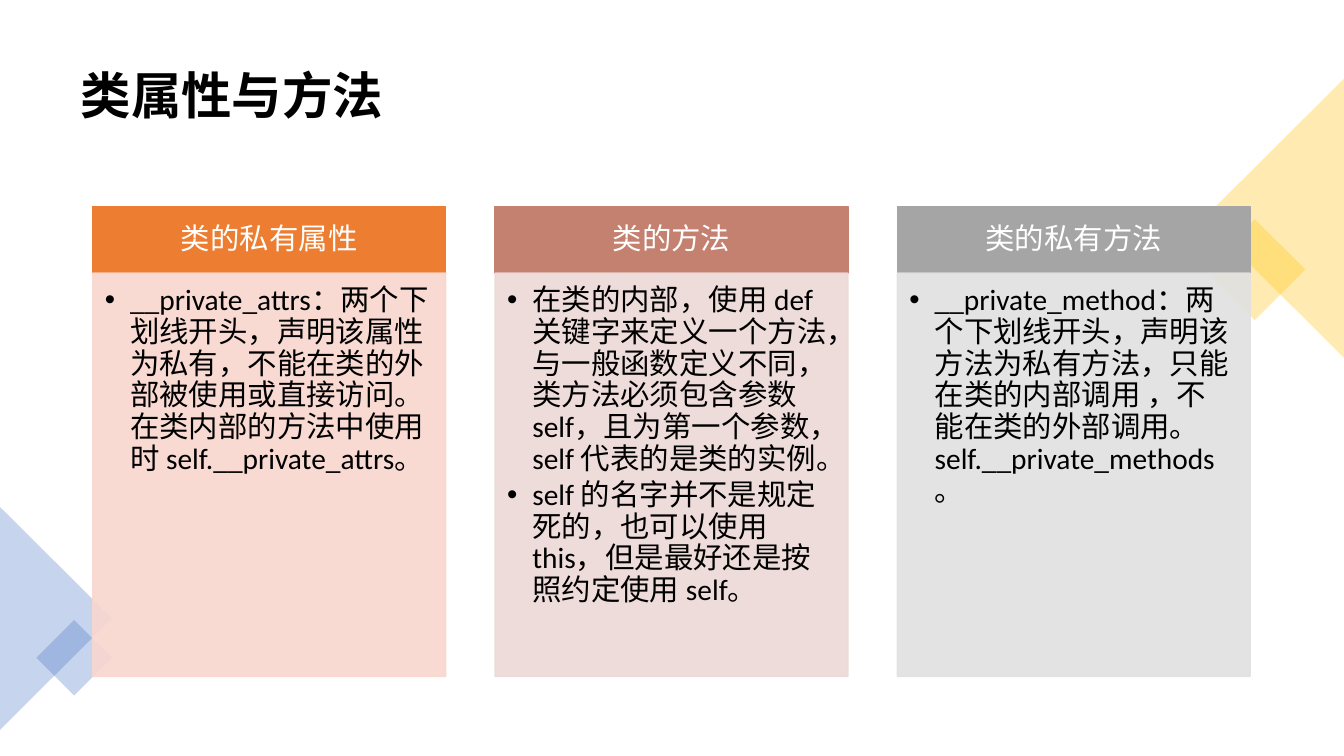
from dataclasses import dataclass

from lxml.etree import SubElement
from pptx import Presentation
from pptx.dml.color import RGBColor
from pptx.enum.shapes import MSO_SHAPE
from pptx.enum.text import MSO_ANCHOR, MSO_AUTO_SIZE, PP_ALIGN
from pptx.oxml.ns import qn
from pptx.shapes.base import BaseShape
from pptx.slide import Slide
from pptx.text.text import TextFrame
from pptx.util import Inches, Pt


@dataclass(frozen=True)
class Theme:
    font: str = "Calibri"
    title_size: int = 36
    text_size: int = 21
    black: str = "000000"
    white: str = "FFFFFF"
    yellow: str = "FFC000"
    blue: str = "4472C4"
    orange: str = "ED7D31"
    orange_tint: str = "F8D7CE"
    rose: str = "C48170"
    rose_tint: str = "EDD9D7"
    gray: str = "A5A5A5"
    gray_tint: str = "E1E1E1"


THEME = Theme()


@dataclass(frozen=True)
class Box:
    left: float
    top: float
    width: float
    height: float


@dataclass(frozen=True)
class Ornament:
    kind: MSO_SHAPE
    box: Box
    rotation: int
    color: str


@dataclass(frozen=True)
class Column:
    heading: str
    points: tuple[str, ...]
    color: str
    tint: str


ORNAMENTS = (
    Ornament(MSO_SHAPE.RECTANGLE, Box(12.09, 2.32, 0.71, 0.71), 45, THEME.yellow),
    Ornament(MSO_SHAPE.ISOSCELES_TRIANGLE, Box(11.25, 1.47, 2.77, 1.39), 270, THEME.yellow),
    Ornament(MSO_SHAPE.ISOSCELES_TRIANGLE, Box(-0.55, 5.58, 2.21, 1.11), 90, THEME.blue),
    Ornament(MSO_SHAPE.RECTANGLE, Box(0.47, 6.26, 0.53, 0.53), 45, THEME.blue),
)

COLUMNS = (
    Column(
        "类的私有属性",
        ("__private_attrs：两个下划线开头，声明该属性为私有，不能在类的外部被使用或直接访问。"
         "在类内部的方法中使用时 self.__private_attrs。",),
        THEME.orange, THEME.orange_tint,
    ),
    Column(
        "类的方法",
        ("在类的内部，使用 def 关键字来定义一个方法，与一般函数定义不同，"
         "类方法必须包含参数 self，且为第一个参数，self 代表的是类的实例。",
         "self 的名字并不是规定死的，也可以使用 this，但是最好还是按照约定使用 self。"),
        THEME.rose, THEME.rose_tint,
    ),
    Column(
        "类的私有方法",
        ("__private_method：两个下划线开头，声明该方法为私有方法，只能在类的内部调用 ，"
         "不能在类的外部调用。self.__private_methods。",),
        THEME.gray, THEME.gray_tint,
    ),
)

COLUMN_LEFT, COLUMN_PITCH, COLUMN_WIDTH = 0.92, 3.99, 3.5
HEADING_TOP, HEADING_HEIGHT, LIST_HEIGHT = 2.05, 0.66, 4


def place(shape: BaseShape, box: Box) -> None:
    shape.left, shape.top = Inches(box.left), Inches(box.top)
    shape.width, shape.height = Inches(box.width), Inches(box.height)


def paint(shape: BaseShape, color: str, opacity: int = 100, outlined: bool = True) -> None:
    shape.fill.solid()
    shape.fill.fore_color.rgb = RGBColor.from_string(color)
    if outlined:
        shape.line.color.rgb = RGBColor.from_string(color)
        shape.line.width = Pt(1)
    else:
        shape.line.fill.background()
    if opacity < 100:
        for rgb in shape.element.spPr.iter(qn("a:srgbClr")):
            SubElement(rgb, qn("a:alpha"), val=str(opacity * 1000))


def write(frame: TextFrame, lines: tuple[str, ...], size: int, color: str,
          insets: tuple[float, float, float, float], anchor: MSO_ANCHOR,
          align: PP_ALIGN = PP_ALIGN.LEFT, bold: bool = False,
          bulleted: bool = False) -> None:
    frame.word_wrap = True
    frame.auto_size = MSO_AUTO_SIZE.NONE
    frame.vertical_anchor = anchor
    (frame.margin_left, frame.margin_top,
     frame.margin_right, frame.margin_bottom) = map(Inches, insets)
    frame.text = "\n".join(lines)
    for paragraph in frame.paragraphs:
        paragraph.alignment = align
        paragraph.line_spacing = 0.9
        paragraph.space_before = Pt(0)
        paragraph.space_after = Pt(3 if bulleted else 0)
        if bulleted:
            properties = paragraph._p.get_or_add_pPr()
            properties.set("marL", str(Inches(0.25)))
            properties.set("indent", str(-Inches(0.25)))
            SubElement(properties, qn("a:buChar"), char="•")
        paragraph.font.name = THEME.font
        paragraph.font.size = Pt(size)
        paragraph.font.bold = bold
        paragraph.font.color.rgb = RGBColor.from_string(color)


def draw_ornament(slide: Slide, ornament: Ornament) -> None:
    shape = slide.shapes.add_shape(ornament.kind, 0, 0, 0, 0)
    place(shape, ornament.box)
    shape.rotation = ornament.rotation
    shape.shadow.inherit = False
    paint(shape, ornament.color, opacity=30, outlined=False)


def draw_column(slide: Slide, column: Column, points_body: BaseShape, left: float) -> None:
    heading = slide.shapes.add_shape(MSO_SHAPE.RECTANGLE, 0, 0, 0, 0)
    place(heading, Box(left, HEADING_TOP, COLUMN_WIDTH, HEADING_HEIGHT))
    heading.shadow.inherit = False
    paint(heading, column.color)
    write(heading.text_frame, (column.heading,), THEME.text_size, THEME.white,
          (0.16, 0.09, 0.16, 0.09), MSO_ANCHOR.MIDDLE, PP_ALIGN.CENTER)

    place(points_body, Box(left, HEADING_TOP + HEADING_HEIGHT, COLUMN_WIDTH, LIST_HEIGHT))
    paint(points_body, column.tint, opacity=90)
    write(points_body.text_frame, column.points, THEME.text_size, THEME.black,
          (0.12, 0.12, 0.16, 0.18), MSO_ANCHOR.TOP, bulleted=True)
    # Bring the list in front of the ornaments
    heading.element.addnext(points_body.element)


def main() -> None:
    presentation = Presentation()
    presentation.slide_width, presentation.slide_height = Inches(13.33), Inches(7.5)
    comparison_layout = presentation.slide_layouts[4]
    slide = presentation.slides.add_slide(comparison_layout)
    title, *bodies = slide.placeholders

    # Title
    place(title, Box(0.7, 0.35, 11.93, 1.24))
    write(title.text_frame, ("类属性与方法",), THEME.title_size, THEME.black,
          (0.1, 0.05, 0.1, 0.05), MSO_ANCHOR.MIDDLE, bold=True)

    # Corner ornaments
    for ornament in ORNAMENTS:
        draw_ornament(slide, ornament)

    # Columns
    for index, (column, points_body) in enumerate(zip(COLUMNS, bodies)):
        draw_column(slide, column, points_body, COLUMN_LEFT + index * COLUMN_PITCH)

    # Unused placeholders
    for spare in bodies[len(COLUMNS):]:
        spare.element.getparent().remove(spare.element)

    presentation.save("out.pptx")


if __name__ == "__main__":
    main()
